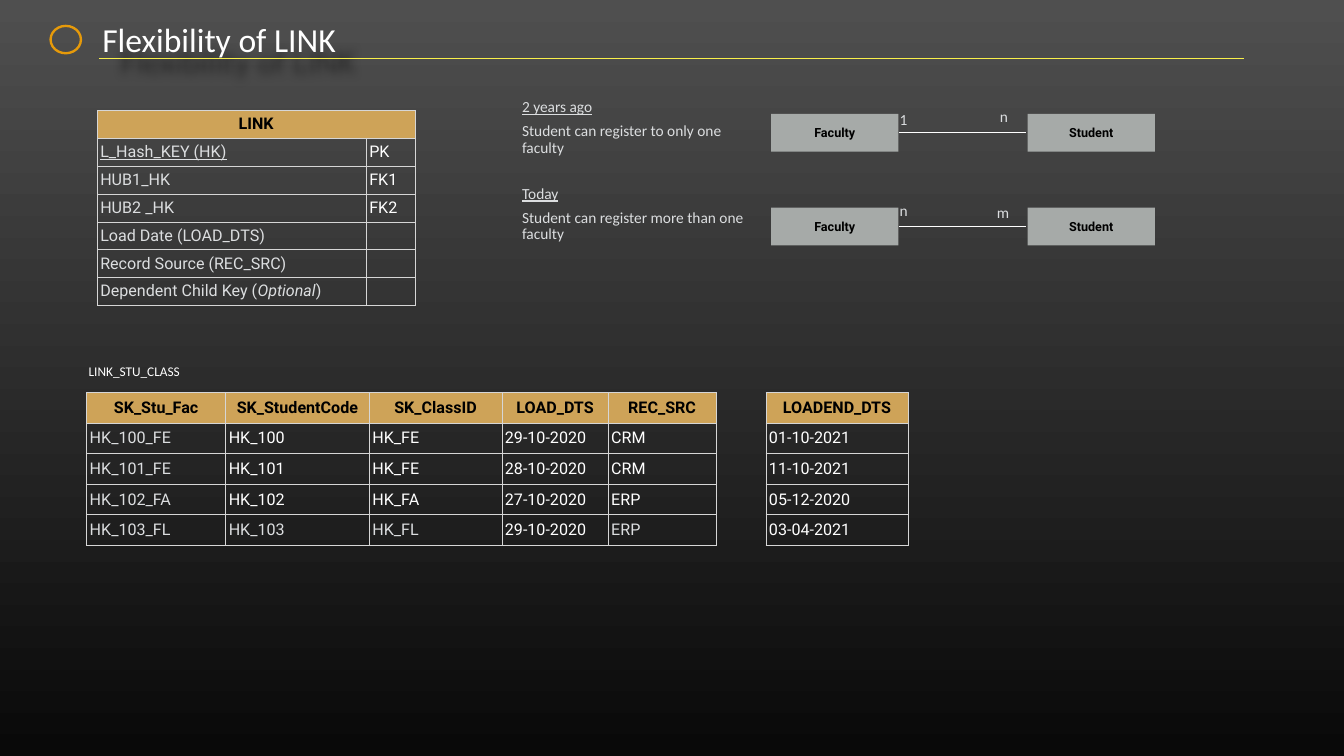
from lxml import etree
from pptx import Presentation
from pptx.dml.color import RGBColor
from pptx.enum.shapes import MSO_CONNECTOR, MSO_SHAPE
from pptx.enum.text import MSO_ANCHOR, PP_ALIGN
from pptx.oxml.ns import qn
from pptx.util import Inches, Pt

WIDTH, HEIGHT = 26.67, 15
WHITE, GREY, BLACK = "FFFFFF", "DCDEE0", "000000"
GOLD, BOX, GRID, YELLOW = "CEA358", "A6AAA8", "D6D6D6", "F8EF4A"
ORANGE = "E69A0A"
PAD = 0.06

TITLE = "Flexibility of LINK"
CAPTION = "LINK_STU_CLASS"

LINK = [
    ["LINK", ""],
    ["L_Hash_KEY (HK)", "PK"],
    ["HUB1_HK", "FK1"],
    ["HUB2 _HK", "FK2"],
    ["Load Date (LOAD_DTS)", ""],
    ["Record Source (REC_SRC)", ""],
    [("Dependent Child Key (", "Optional", ")"), ""],
]
STUDENT_CLASS = [
    ["SK_Stu_Fac", "SK_StudentCode", "SK_ClassID", "LOAD_DTS", "REC_SRC"],
    ["HK_100_FE", "HK_100", "HK_FE", "29-10-2020", "CRM"],
    ["HK_101_FE", "HK_101", "HK_FE", "28-10-2020", "CRM"],
    ["HK_102_FA", "HK_102", "HK_FA", "27-10-2020", "ERP"],
    ["HK_103_FL", "HK_103", "HK_FL", "29-10-2020", "ERP"],
]
LOAD_END = [["LOADEND_DTS"], ["01-10-2021"], ["11-10-2021"], ["05-12-2020"], ["03-04-2021"]]

LINK_GREY = {(row, 0) for row in range(1, 7)}
CLASS_GREY = {(row, 0) for row in range(1, 5)} | {(4, 1), (4, 2), (4, 4)}

TABLES = [
    (LINK, 1.93, 2.19, [5.34, 0.97], 3.87, LINK_GREY),
    (STUDENT_CLASS, 1.72, 7.79, [2.76, 2.85, 2.63, 2.11, 2.14], 3.03, CLASS_GREY),
    (LOAD_END, 15.2, 7.79, [2.82], 3.03, set()),
]

RELATIONS = [
    {"top": 2.26, "when": "2 years ago", "rule": "Student can register to only one faculty",
     "note": (1.91, 4.64), "ends": [("1", 17.79, 2.15), ("n", 19.78, 2.1)]},
    {"top": 4.12, "when": "Today", "rule": "Student can register more than one faculty",
     "note": (3.63, 4.83), "ends": [("n", 17.79, 3.96), ("m", 19.72, 4)]},
]
ENTITIES = [("Faculty", 15.3), ("Student", 20.39)]
ENTITY_W, ENTITY_H = 2.53, 0.75


def rgb(value):
    return RGBColor.from_string(value)


def add_run(paragraph, text, size, color, font="Calibri", bold=False, italic=False, underline=False):
    run = paragraph.add_run()
    run.text = text
    run.font.size, run.font.name = Pt(size), font
    run.font.bold, run.font.italic, run.font.underline = bold, italic, underline
    run.font.color.rgb = rgb(color)


def set_frame(frame, pad=PAD):
    frame.word_wrap = True
    frame.vertical_anchor = MSO_ANCHOR.MIDDLE
    frame.margin_left = frame.margin_right = frame.margin_top = frame.margin_bottom = Inches(pad)


def add_text(slide, place, lines, size, color):
    box = slide.shapes.add_textbox(*map(Inches, place))
    set_frame(box.text_frame)
    for number, (text, underline) in enumerate(lines):
        paragraph = box.text_frame.add_paragraph() if number else box.text_frame.paragraphs[0]
        paragraph.line_spacing = 0.9
        if number:
            paragraph.space_before = Pt(10)
        add_run(paragraph, text, size, color, underline=underline)


def add_line(slide, left, right, y, color, width):
    line = slide.shapes.add_connector(
        MSO_CONNECTOR.STRAIGHT, Inches(left), Inches(y), Inches(right), Inches(y))
    line.line.color.rgb = rgb(color)
    line.line.width = Pt(width)
    etree.SubElement(line._element.spPr, qn("a:effectLst"))


def add_block(slide, preset, place, color):
    block = slide.shapes.add_shape(preset, *map(Inches, place))
    block.shadow.inherit = False
    block.fill.solid()
    block.fill.fore_color.rgb = rgb(color)
    block.line.fill.background()
    return block


def add_title(slide):
    title = slide.shapes.add_textbox(*map(Inches, (1.95, 0.39, 10.57, 0.77)))
    set_frame(title.text_frame, 0.08)
    add_run(title.text_frame.paragraphs[0], TITLE, 48, WHITE)
    effects = etree.SubElement(title._element.spPr, qn("a:effectLst"))
    shadow = etree.SubElement(effects, qn("a:outerShdw"), blurRad=str(Inches(0.2)),
                              dist=str(Inches(0.54)), dir="2880000", algn="tl", rotWithShape="0")
    black = etree.SubElement(shadow, qn("a:srgbClr"), val=BLACK)
    etree.SubElement(black, qn("a:alpha"), val="50000")


def set_borders(cell, header):
    properties = cell._tc.get_or_add_tcPr()
    for side in ("lnL", "lnR", "lnT", "lnB"):
        width = 2 if header and side == "lnB" else 1
        border = etree.SubElement(properties, qn("a:" + side), w=str(Pt(width)))
        fill = etree.SubElement(border, qn("a:solidFill"))
        etree.SubElement(fill, qn("a:srgbClr"), val=GRID)


def add_grid(slide, rows, left, top, widths, height, muted):
    table = slide.shapes.add_table(
        len(rows), len(widths), *map(Inches, (left, top, sum(widths), height))).table
    table.first_row = table.horz_banding = False
    for column, width in zip(table.columns, widths):
        column.width = Inches(width)
    for r, row in enumerate(rows):
        for c, content in enumerate(row):
            cell, header = table.cell(r, c), r == 0
            set_borders(cell, header)
            cell.vertical_anchor = MSO_ANCHOR.MIDDLE
            cell.margin_left = cell.margin_right = cell.margin_top = cell.margin_bottom = Inches(PAD)
            if header:
                cell.fill.solid()
                cell.fill.fore_color.rgb = rgb(GOLD)
            else:
                cell.fill.background()
            if not content:
                continue
            paragraph = cell.text_frame.paragraphs[0]
            paragraph.alignment = PP_ALIGN.CENTER if header else PP_ALIGN.LEFT
            color = BLACK if header else GREY if (r, c) in muted else WHITE
            for part in [content] if isinstance(content, str) else content:
                add_run(paragraph, part, 23, color, "Roboto", bold=header,
                        italic=part == "Optional", underline=part == "L_Hash_KEY (HK)")
    return table


def add_relation(slide, relation):
    top = relation["top"]
    for name, left in ENTITIES:
        entity = add_block(slide, MSO_SHAPE.RECTANGLE, (left, top, ENTITY_W, ENTITY_H), BOX)
        set_frame(entity.text_frame)
        paragraph = entity.text_frame.paragraphs[0]
        paragraph.alignment = PP_ALIGN.CENTER
        add_run(paragraph, name, 18, BLACK, "Roboto", bold=True)
    start = ENTITIES[0][1] + ENTITY_W
    add_line(slide, start, start + ENTITY_W, top + ENTITY_H / 2, WHITE, 2)
    for label, left, label_top in relation["ends"]:
        add_text(slide, (left, label_top, 0.59, 0.48), [(label, False)], 22, GREY)
    note_top, note_width = relation["note"]
    lines = [(relation["when"], True), (relation["rule"], False)]
    add_text(slide, (10.3, note_top, note_width, 1.26), lines, 22, GREY)


def main():
    deck = Presentation()
    deck.slide_width, deck.slide_height = Inches(WIDTH), Inches(HEIGHT)
    slide = deck.slides.add_slide(deck.slide_layouts[6])
    backdrop = slide.background.fill
    backdrop.gradient()
    backdrop.gradient_angle = 270
    for stop, color in zip(backdrop.gradient_stops, ("4F4F4F", "090909")):
        stop.color.rgb = rgb(color)

    add_title(slide)
    add_line(slide, 1.97, 24.69, 1.15, YELLOW, 1)
    emblem = add_block(slide, MSO_SHAPE.DONUT, (0.98, 0.49, 0.65, 0.59), ORANGE)
    emblem.adjustments[0] = 0.08

    link, *_ = [add_grid(slide, *table) for table in TABLES]
    link.cell(0, 0).merge(link.cell(0, 1))
    add_text(slide, (1.7, 7.07, 2.54, 0.63), [(CAPTION, False)], 19, WHITE)
    for relation in RELATIONS:
        add_relation(slide, relation)
    deck.save("out.pptx")


if __name__ == "__main__":
    main()
